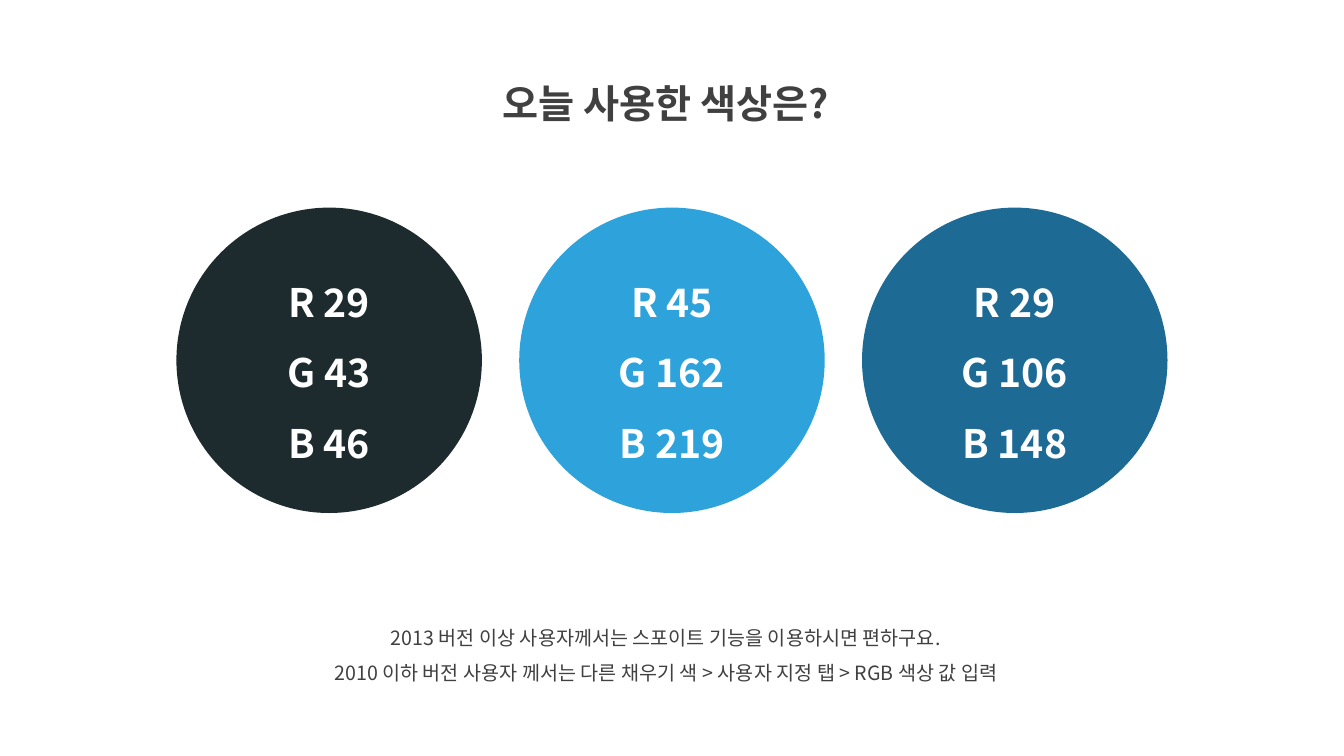
from dataclasses import dataclass

from lxml.etree import SubElement
from pptx import Presentation
from pptx.dml.color import RGBColor
from pptx.enum.shapes import MSO_SHAPE
from pptx.enum.text import MSO_ANCHOR, MSO_AUTO_SIZE, PP_ALIGN
from pptx.oxml.ns import qn
from pptx.slide import Slide
from pptx.text.text import TextFrame
from pptx.util import Inches, Pt

INK = RGBColor(64, 64, 64)
WHITE = RGBColor(255, 255, 255)
NAVY = RGBColor(29, 43, 46)
SKY = RGBColor(45, 162, 219)
OCEAN = RGBColor(29, 106, 148)

FONT_NAME = "Noto Sans CJK KR"
HEADING = {"name": FONT_NAME, "size": Pt(28), "bold": True}
BODY = {"name": FONT_NAME, "size": Pt(14), "bold": False}
PARAGRAPH = {"alignment": PP_ALIGN.CENTER, "line_spacing": 1.5}

DIAMETER = 3.03
PITCH = 3.4
FIRST_LEFT = 1.75
SWATCH_TOP = 2.06


@dataclass(frozen=True)
class Caption:
    left: float
    top: float
    width: float
    height: float
    lines: tuple[str, ...]
    style: dict


@dataclass(frozen=True)
class Swatch:
    left: float
    colour: RGBColor

    @property
    def lines(self) -> tuple[str, ...]:
        return tuple(f"{channel} {value}" for channel, value in zip("RGB", self.colour))


CAPTIONS = (
    Caption(4.29, 0.5, 4.63, 0.72, ("오늘 사용한 색상은?",), HEADING),
    Caption(
        2.61, 6.04, 7.99, 0.81,
        (
            "2013 버전 이상 사용자께서는 스포이트 기능을 이용하시면 편하구요.",
            "2010 이하 버전 사용자 께서는 다른 채우기 색 > 사용자 지정 탭 > RGB 색상 값 입력",
        ),
        BODY,
    ),
)
SWATCHES = tuple(
    Swatch(FIRST_LEFT + index * PITCH, colour)
    for index, colour in enumerate((NAVY, SKY, OCEAN))
)


def write_lines(frame: TextFrame, lines: tuple[str, ...], style: dict, colour: RGBColor) -> None:
    frame.word_wrap = True
    for index, line in enumerate(lines):
        paragraph = frame.add_paragraph() if index else frame.paragraphs[0]
        for attribute, value in PARAGRAPH.items():
            setattr(paragraph, attribute, value)
        run = paragraph.add_run()
        run.text = line
        for attribute, value in style.items():
            setattr(run.font, attribute, value)
        run.font.color.rgb = colour
        SubElement(run._r.get_or_add_rPr(), qn("a:ea"), typeface=FONT_NAME)


def draw_caption(slide: Slide, caption: Caption) -> None:
    bounds = (caption.left, caption.top, caption.width, caption.height)
    box = slide.shapes.add_textbox(*map(Inches, bounds))
    write_lines(box.text_frame, caption.lines, caption.style, INK)
    box.text_frame.auto_size = MSO_AUTO_SIZE.SHAPE_TO_FIT_TEXT


def draw_swatch(slide: Slide, swatch: Swatch) -> None:
    bounds = (swatch.left, SWATCH_TOP, DIAMETER, DIAMETER)
    circle = slide.shapes.add_shape(MSO_SHAPE.OVAL, *map(Inches, bounds))
    circle.shadow.inherit = False
    circle.fill.solid()
    circle.fill.fore_color.rgb = swatch.colour
    circle.line.fill.background()
    circle.text_frame.vertical_anchor = MSO_ANCHOR.MIDDLE
    write_lines(circle.text_frame, swatch.lines, HEADING, WHITE)


def main() -> None:
    presentation = Presentation()
    presentation.slide_width = Inches(13.33)
    presentation.slide_height = Inches(7.5)
    slide = presentation.slides.add_slide(presentation.slide_layouts[6])
    for caption in CAPTIONS:
        draw_caption(slide, caption)
    for swatch in SWATCHES:
        draw_swatch(slide, swatch)
    presentation.save("out.pptx")


if __name__ == "__main__":
    main()
